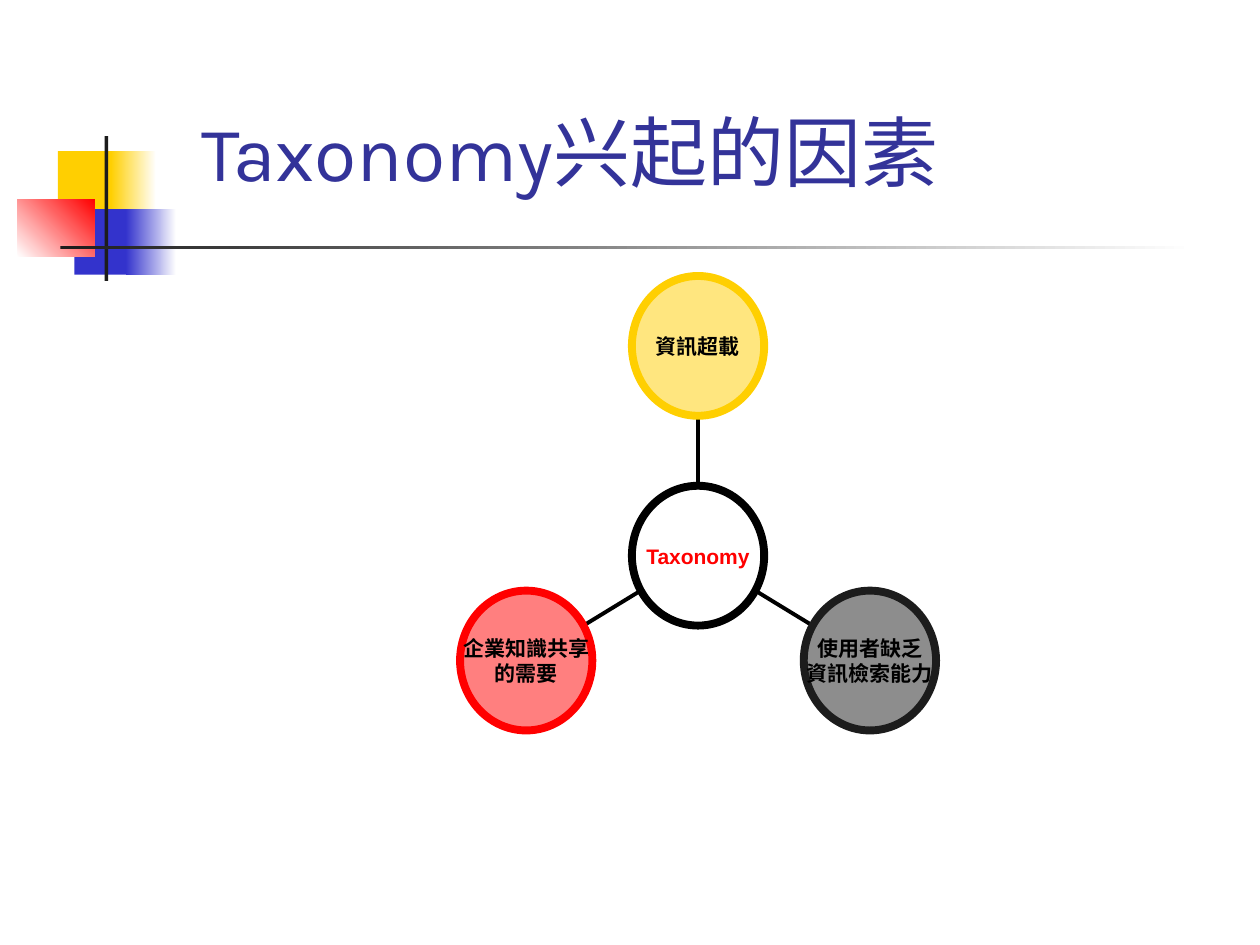
from math import cos, radians, sin

from lxml.etree import SubElement
from pptx import Presentation
from pptx.dml.color import RGBColor
from pptx.enum.shapes import MSO_CONNECTOR as Connector, MSO_SHAPE as Shape
from pptx.enum.text import MSO_ANCHOR as Anchor, PP_ALIGN as Align
from pptx.oxml.ns import qn
from pptx.util import Inches, Pt

HUB = (5.54, 4.41)
NODE_W, NODE_H = 1.05, 1.11
BARS = [  # left, top, width, height, colours from start to end, angle
    (0.46, 1.2, 0.48, 0.52, ["FFCF01"], 0),
    (0.88, 1.2, 0.36, 0.52, ["FFCF01", "FFFFFF"], 0),
    (0.59, 1.66, 0.46, 0.52, ["3333CC"], 0),
    (1, 1.66, 0.4, 0.52, ["3333CC", "FFFFFF"], 0),
    (0.14, 1.58, 0.61, 0.46, ["FFFFFF", "FF0000"], 45),
    (0.83, 1.08, 0.03, 1.15, ["1C1C1C"], 0),
    (0.48, 1.95, 9, 0.03, ["1C1C1C", "FFFFFF"], 0),
]
FACTORS = [  # direction in degrees, colour, lines of text
    (-90, "FFCF01", ["資訊超載"]),
    (30, "1C1C1C", ["使用者缺乏", "資訊檢索能力"]),
    (150, "FF0000", ["企業知識共享", "的需要"]),
]


def paint(color_format, color):
    color_format.rgb = RGBColor.from_string(color)


def add_text(para, text, font, size, color, bold=False):
    span = para.add_run()
    span.text = text
    span.font.name = font
    span.font.size = Pt(size)
    span.font.bold = bold
    paint(span.font.color, color)


def add_bar(page, left, top, width, height, colors, angle):
    bar = page.shapes.add_shape(Shape.RECTANGLE, *map(Inches, (left, top, width, height)))
    bar.shadow.inherit = False
    bar.line.fill.background()
    if len(colors) == 1:
        bar.fill.solid()
        paint(bar.fill.fore_color, colors[0])
        return
    bar.fill.gradient()
    bar.fill.gradient_angle = angle
    for stop, color, position in zip(bar.fill.gradient_stops, colors, (0, 1)):
        paint(stop.color, color)
        stop.position = position


def add_title(page, text):
    box = page.shapes.add_textbox(*map(Inches, (1.5, 0.78, 8.08, 0.83)))
    frame = box.text_frame
    frame.word_wrap = True
    frame.vertical_anchor = Anchor.BOTTOM
    add_text(frame.paragraphs[0], text, "Karla", 44, "333399")


def around_hub(angle, diameters):
    """Point at a distance from the hub, counted in node diameters."""
    return (HUB[0] + NODE_W * diameters * cos(radians(angle)),
            HUB[1] + NODE_H * diameters * sin(radians(angle)))


def add_link(page, angle):
    ends = around_hub(angle, 0.5) + around_hub(angle, 1)
    link = page.shapes.add_connector(Connector.STRAIGHT, *map(Inches, ends))
    paint(link.line.color, "000000")
    link.line.width = Pt(2.25)
    SubElement(link.element.spPr, qn("a:effectLst"))


def add_node(page, center, fill, line, lines, text_color="000000"):
    left, top = center[0] - NODE_W / 2, center[1] - NODE_H / 2
    node = page.shapes.add_shape(Shape.OVAL, *map(Inches, (left, top, NODE_W, NODE_H)))
    node.shadow.inherit = False
    node.fill.solid()
    paint(node.fill.fore_color, fill)
    fill_color = node.element.spPr.find(qn("a:solidFill"))[0]
    SubElement(fill_color, qn("a:alpha"), val="50000")
    paint(node.line.color, line)
    node.line.width = Pt(4.5)
    frame = node.text_frame
    frame.word_wrap = False
    frame.vertical_anchor = Anchor.MIDDLE
    for index, text in enumerate(lines):
        para = frame.add_paragraph() if index else frame.paragraphs[0]
        para.alignment = Align.CENTER
        add_text(para, text, "Arial", 12, text_color, bold=True)


def main():
    deck = Presentation()
    deck.slide_width, deck.slide_height = Inches(10), Inches(7.5)
    page = deck.slides.add_slide(deck.slide_layouts[6])
    for bar in BARS:
        add_bar(page, *bar)
    add_title(page, "Taxonomy兴起的因素")
    for angle, color, lines in FACTORS:
        add_link(page, angle)
        add_node(page, around_hub(angle, 1.5), color, color, lines)
    add_node(page, HUB, "FFFFFF", "000000", ["Taxonomy"], "FF0000")
    deck.save("out.pptx")


if __name__ == "__main__":
    main()
